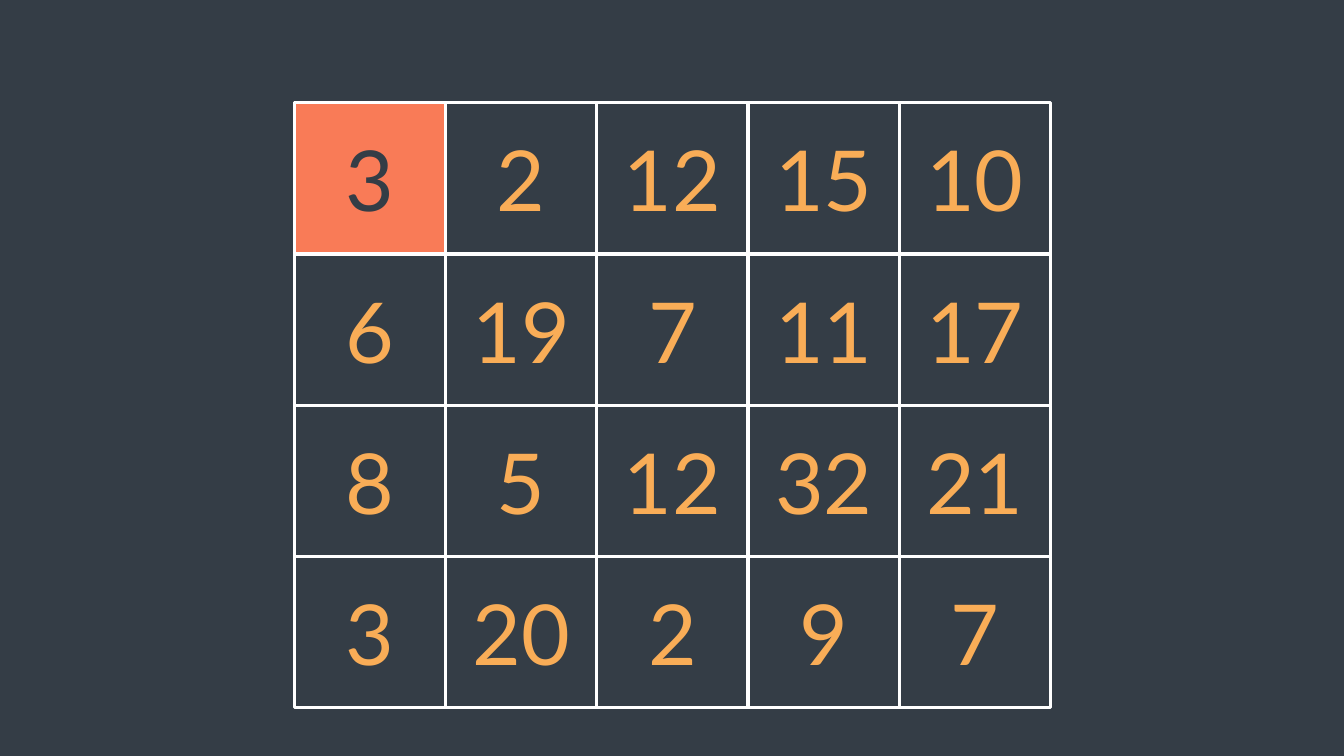
import pptx
import pptx.dml.color
import pptx.enum.shapes
import pptx.enum.text
import pptx.util

Inches = pptx.util.Inches
RGBColor = pptx.dml.color.RGBColor

SLATE = RGBColor(0x34, 0x3D, 0x46)
CORAL = RGBColor(0xF9, 0x7B, 0x57)
AMBER = RGBColor(0xF9, 0xAD, 0x57)
WHITE = RGBColor(0xFF, 0xFF, 0xFF)

NUMBERS = [
    [3, 2, 12, 15, 10],
    [6, 19, 7, 11, 17],
    [8, 5, 12, 32, 21],
    [3, 20, 2, 9, 7],
]
CURRENT = (0, 0)


def add_cell(s, left, top, size, number, fill, color):
    """Draw one square of the grid with its number centred."""
    sp = s.shapes.add_shape(
        pptx.enum.shapes.MSO_SHAPE.RECTANGLE,
        Inches(left), Inches(top), Inches(size), Inches(size))
    sp.shadow.inherit = False
    sp.fill.solid()
    sp.fill.fore_color.rgb = fill
    sp.line.color.rgb = WHITE
    sp.line.width = pptx.util.Pt(2.25)
    tf = sp.text_frame
    tf.vertical_anchor = pptx.enum.text.MSO_ANCHOR.MIDDLE
    p = tf.paragraphs[0]
    p.alignment = pptx.enum.text.PP_ALIGN.CENTER
    r = p.add_run()
    r.text = str(number)
    r.font.name = "Lato"
    r.font.size = pptx.util.Pt(60)
    r.font.color.rgb = color


def add_grid(s, left, top, width, numbers, current):
    """Fill the given width with square cells and highlight the current one."""
    size = width / len(numbers[0])
    for i, row in enumerate(numbers):
        for j, number in enumerate(row):
            fill, color = (CORAL, SLATE) if (i, j) == current else (SLATE, AMBER)
            add_cell(s, left + j * size, top + i * size, size, number, fill, color)


def main():
    """Build the slide and save it."""
    prs = pptx.Presentation()
    prs.slide_width, prs.slide_height = Inches(13.33), Inches(7.5)
    s = prs.slides.add_slide(prs.slide_layouts[6])
    s.background.fill.solid()
    s.background.fill.fore_color.rgb = SLATE
    add_grid(s, 2.92, 1.02, 7.5, NUMBERS, CURRENT)
    prs.save("out.pptx")


if __name__ == "__main__":
    main()
